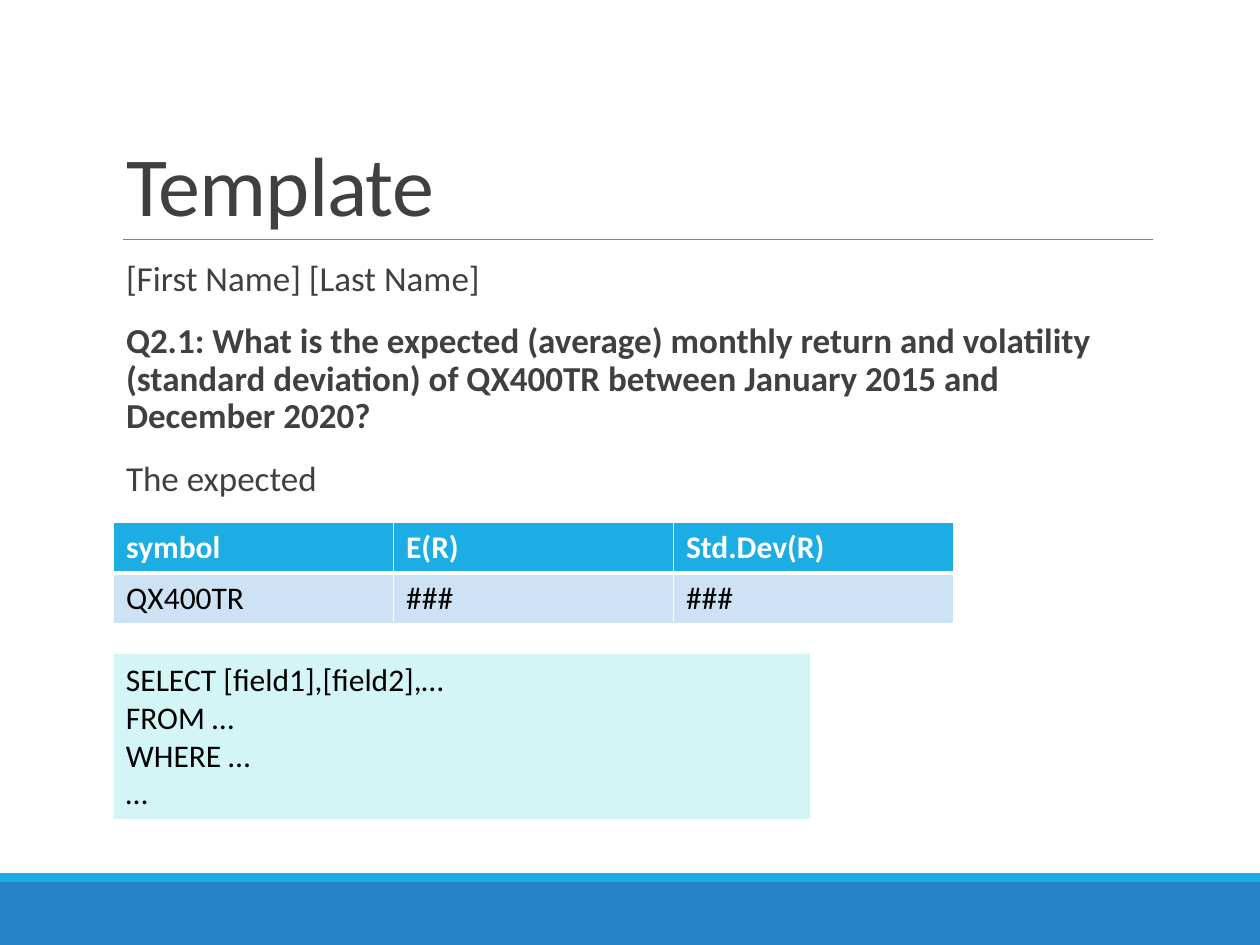
from dataclasses import dataclass

import pptx
import pptx.dml.color
import pptx.enum.shapes
import pptx.enum.text
import pptx.oxml.ns
import pptx.util
from lxml import etree

Cm, Pt = pptx.util.Cm, pptx.util.Pt
PP = pptx.enum.text.PP_ALIGN
ANCHOR = pptx.enum.text.MSO_ANCHOR
FONT = "Calibri"
DARK, BLACK, WHITE = "404040", "000000", "FFFFFF"
ACCENT = "1CADE4"
LEFT = 2.29
SYMBOL = "QX400TR"


@dataclass
class Box:
    x: float
    y: float
    w: float
    h: float

    def emu(self) -> tuple:
        return tuple(Cm(v) for v in (self.x, self.y, self.w, self.h))


def color(value: str):
    return pptx.dml.color.RGBColor.from_string(value)


def add_child(parent, tag: str, **attrs: str):
    return etree.SubElement(parent, pptx.oxml.ns.qn(tag), **attrs)


def write(p, text: str, *, size: float = 18, ink: str = BLACK, bold: bool = False,
          line: float = 1.0, before: float = 0, after: float = 0):
    """Fill one paragraph with a formatted run."""
    p.alignment = PP.LEFT
    p.line_spacing = line
    p.space_before, p.space_after = Pt(before), Pt(after)
    r = p.add_run()
    r.text = text
    r.font.name, r.font.size, r.font.bold = FONT, Pt(size), bold
    r.font.color.rgb = color(ink)
    return r


def add_rect(slide, box: Box, fill: str):
    s = slide.shapes.add_shape(pptx.enum.shapes.MSO_SHAPE.RECTANGLE, *box.emu())
    s.shadow.inherit = False
    s.fill.solid()
    s.fill.fore_color.rgb = color(fill)
    s.line.fill.background()
    return s


def place(sp, box: Box):
    """Move a placeholder and return its text frame."""
    sp.left, sp.top, sp.width, sp.height = box.emu()
    tf = sp.text_frame
    tf.word_wrap = True
    tf.auto_size = pptx.enum.text.MSO_AUTO_SIZE.NONE
    return tf


def paragraphs(tf, texts: list):
    """Yield a paragraph for each text."""
    for i, text in enumerate(texts):
        yield (tf.add_paragraph() if i else tf.paragraphs[0]), text


def add_rule(slide, x1: float, x2: float, y: float) -> None:
    s = slide.shapes.add_connector(pptx.enum.shapes.MSO_CONNECTOR.STRAIGHT,
                                   Cm(x1), Cm(y), Cm(x2), Cm(y))
    s.line.color.rgb = color("808080")
    s.line.width = Pt(0.5)
    add_child(s._element.spPr, "a:effectLst")


def add_body(sp, box: Box, items: list) -> None:
    tf = place(sp, box)
    tf.vertical_anchor = ANCHOR.TOP
    tf.margin_left = tf.margin_right = 0
    for p, (text, bold) in paragraphs(tf, items):
        write(p, text, size=20, ink=DARK, bold=bold, line=0.9, before=12, after=2)
        # Hanging indent with a blank bullet
        pPr = p._p.get_or_add_pPr()
        pPr.set("marL", str(Cm(0.25)))
        pPr.set("indent", str(-Cm(0.25)))
        add_child(add_child(pPr, "a:buClr"), "a:srgbClr", val=ACCENT)
        add_child(pPr, "a:buChar", char=" ")


def add_border(cell, side: str, width: float) -> None:
    """Draw a white cell border; call before the cell is filled."""
    ln = add_child(cell._tc.get_or_add_tcPr(), f"a:{side}", w=str(Pt(width)))
    add_child(add_child(ln, "a:solidFill"), "a:srgbClr", val=WHITE)


def add_table(slide, box: Box, rows: list) -> None:
    table = slide.shapes.add_table(len(rows), len(rows[0]), *box.emu()).table
    for i, row in enumerate(rows):
        header = i == 0
        for j, text in enumerate(row):
            cell = table.cell(i, j)
            add_border(cell, "lnB" if header else "lnT", 3)
            cell.fill.solid()
            cell.fill.fore_color.rgb = color(ACCENT if header else "CDE3F5")
            write(cell.text_frame.paragraphs[0], text,
                  ink=WHITE if header else BLACK, bold=header)


def main() -> None:
    prs = pptx.Presentation()
    prs.slide_width, prs.slide_height = Cm(25.4), Cm(19.05)
    slide = prs.slides.add_slide(prs.slide_layouts[1])

    # Footer bands and title rule
    add_rect(slide, Box(0, 17.78, 25.4, 1.27), "2683C6")
    add_rect(slide, Box(0, 17.6, 25.4, 0.18), ACCENT)
    add_rule(slide, 2.48, 23.25, 4.83)

    # Title
    tf = place(slide.shapes.title, Box(LEFT, 0.79, 20.96, 4.04))
    tf.vertical_anchor = ANCHOR.BOTTOM
    r = write(tf.paragraphs[0], "Template", size=48, ink=DARK, line=0.85)
    r.font._element.set("spc", "-50")

    # Question and answer
    add_body(slide.placeholders[1], Box(LEFT, 5.13, 20.96, 11.18), [
        ("[First Name] [Last Name]", False),
        ("Q2.1: What is the expected (average) monthly return and volatility "
         f"(standard deviation) of {SYMBOL} between January 2015 and December 2020?", True),
        ("The expected", False),
    ])

    # Result table
    add_table(slide, Box(LEFT, 10.52, 16.93, 2.04), [
        ["symbol", "E(R)", "Std.Dev(R)"],
        [SYMBOL, "###", "###"],
    ])

    # Query
    tf = add_rect(slide, Box(LEFT, 13.18, 14.05, 3.33), "D3F5F6").text_frame
    tf.word_wrap = True
    tf.vertical_anchor = ANCHOR.TOP
    query = ["SELECT [field1],[field2],…", "FROM …", "WHERE …", "…"]
    for p, text in paragraphs(tf, query):
        write(p, text)

    prs.save("out.pptx")


if __name__ == "__main__":
    main()
